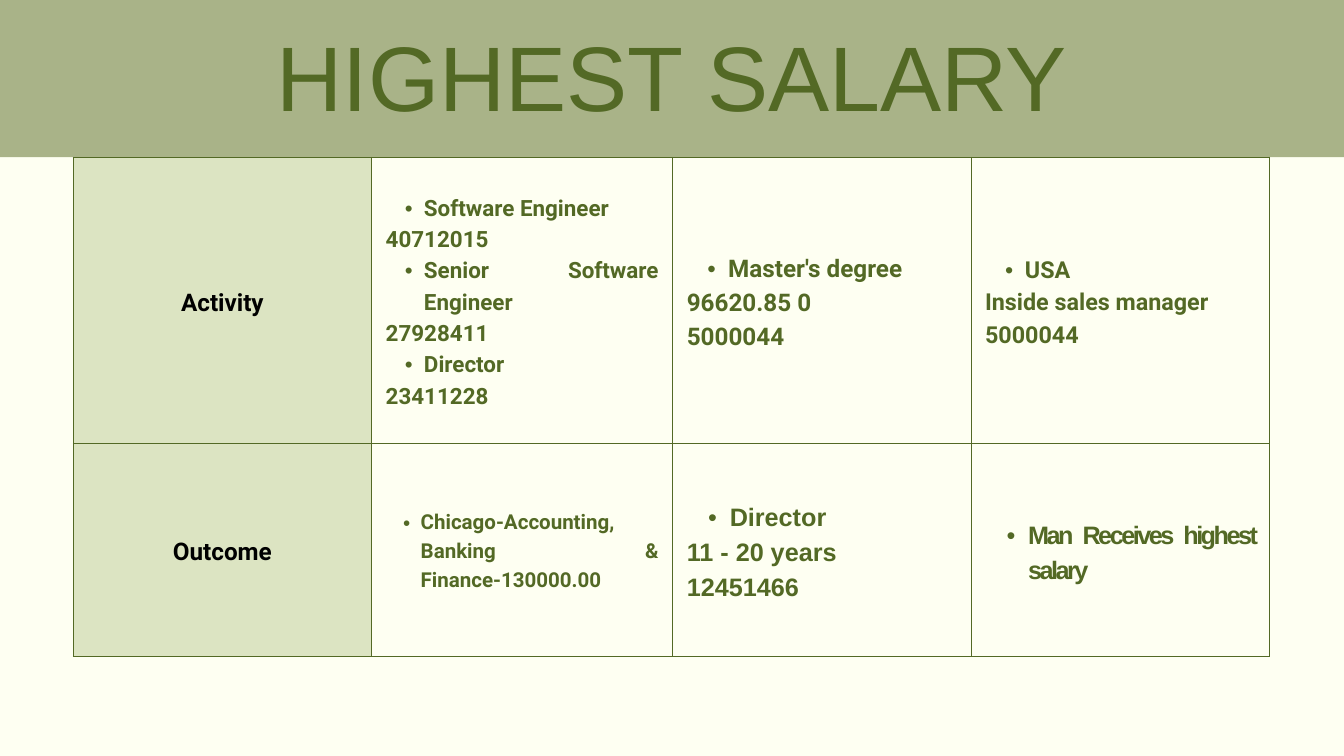
"""Build the highest salary slide with its activity and outcome table."""
from dataclasses import dataclass

from lxml.etree import SubElement
from pptx import Presentation
from pptx.dml.color import RGBColor
from pptx.enum.shapes import MSO_SHAPE
from pptx.enum.text import MSO_ANCHOR, MSO_AUTO_SIZE, PP_ALIGN
from pptx.oxml.ns import qn
from pptx.util import Inches, Pt


@dataclass(frozen=True)
class Theme:
    page: RGBColor = RGBColor.from_string("FEFFF2")
    band: RGBColor = RGBColor.from_string("A9B388")
    label: RGBColor = RGBColor.from_string("DCE4C2")
    green: RGBColor = RGBColor.from_string("536925")
    black: RGBColor = RGBColor.from_string("000000")
    title_font: str = "Arial"
    body_font: str = "Roboto"
    title_size: float = 98.2
    label_size: int = 26
    border: float = 0.75


theme = Theme()


def add_borders(cell):
    tcPr = cell._tc.get_or_add_tcPr()
    for side in ("lnL", "lnR", "lnT", "lnB"):
        ln = SubElement(tcPr, qn(f"a:{side}"), w=str(Pt(theme.border)))
        fill = SubElement(ln, qn("a:solidFill"))
        SubElement(fill, qn("a:srgbClr"), val=str(theme.green))


def add_bullet(p, size):
    indent = Inches(size * 0.0237)
    p.level = 1
    pPr = p._p.get_or_add_pPr()
    pPr.set("marL", str(indent))
    pPr.set("indent", str(-indent // 2))
    SubElement(pPr, qn("a:buFont"), typeface="Arial")
    SubElement(pPr, qn("a:buChar"), char="•")


prs = Presentation()
prs.slide_width, prs.slide_height = Inches(20), Inches(11.25)
s = prs.slides.add_slide(prs.slide_layouts[5])
s.background.fill.solid()
s.background.fill.fore_color.rgb = theme.page

band = s.shapes.add_shape(MSO_SHAPE.RECTANGLE, 0, 0, prs.slide_width, Inches(2.34))
band.shadow.inherit = False
band.fill.solid()
band.fill.fore_color.rgb = theme.band
band.line.fill.background()

col_widths = [4.44, 4.48, 4.44, 4.44]
row_heights = [4.25, 3.17]
table = s.shapes.add_table(
    2, 4, Inches(1.09), Inches(2.34), Inches(sum(col_widths)), Inches(sum(row_heights))
).table
table.first_row = table.horz_banding = False
for col, width in zip(table.columns, col_widths):
    col.width = Inches(width)
for row, height in zip(table.rows, row_heights):
    row.height = Inches(height)

body, arial = theme.body_font, theme.title_font
justify, left = PP_ALIGN.JUSTIFY, PP_ALIGN.LEFT
rows = [
    ("Activity", [
        (24, body, justify, 0, ["• Software Engineer", "40712015",
                                "• Senior Software Engineer", "27928411",
                                "• Director", "23411228"]),
        (26, body, justify, 0, ["• Master's degree", "96620.85 0", "5000044"]),
        (25, body, left, 0, ["• USA", "Inside sales manager", "5000044"]),
    ]),
    ("Outcome", [
        (22, body, justify, 0, ["• Chicago-Accounting, Banking & Finance-130000.00"]),
        (27, arial, justify, 0, ["• Director", "11 - 20 years", "12451466"]),
        (27, arial, justify, -2.7, ["• Man Receives highest salary"]),
    ]),
]
for i, (label, details) in enumerate(rows):
    cells = [(theme.label_size, body, PP_ALIGN.CENTER, 0, [label])] + details
    for j, (size, font, align, spacing, lines) in enumerate(cells):
        cell = table.cell(i, j)
        cell.vertical_anchor = MSO_ANCHOR.MIDDLE
        cell.margin_left = cell.margin_right = Inches(0.21)
        cell.margin_top = cell.margin_bottom = Inches(0.21)
        add_borders(cell)
        if j == 0:
            cell.fill.solid()
            cell.fill.fore_color.rgb = theme.label
        else:
            cell.fill.background()
        tf = cell.text_frame
        tf.text = "\n".join(line.removeprefix("• ") for line in lines)
        for p, line in zip(tf.paragraphs, lines):
            if line.startswith("• "):
                add_bullet(p, size)
            p.alignment = align
            p.line_spacing = Pt(size * 1.4)
            r = p.runs[0]
            r.font.name, r.font.size, r.font.bold = font, Pt(size), True
            r.font.color.rgb = theme.black if j == 0 else theme.green
            if spacing:
                r._r.get_or_add_rPr().set("spc", str(round(spacing * 100)))

title = s.shapes.title
s.shapes._spTree.append(title._element)
title.left, title.top = 0, Inches(0.02)
title.width, title.height = prs.slide_width, Inches(1.84)
tf = title.text_frame
tf.text = "HIGHEST SALARY"
tf.word_wrap = True
tf.auto_size = MSO_AUTO_SIZE.NONE
tf.vertical_anchor = MSO_ANCHOR.TOP
tf.margin_left = tf.margin_right = tf.margin_top = tf.margin_bottom = 0
p = tf.paragraphs[0]
p.alignment = PP_ALIGN.CENTER
p.line_spacing = Pt(137.5)
r = p.runs[0]
r.font.name, r.font.size = theme.title_font, Pt(theme.title_size)
r.font.color.rgb = theme.green

prs.save("out.pptx")
